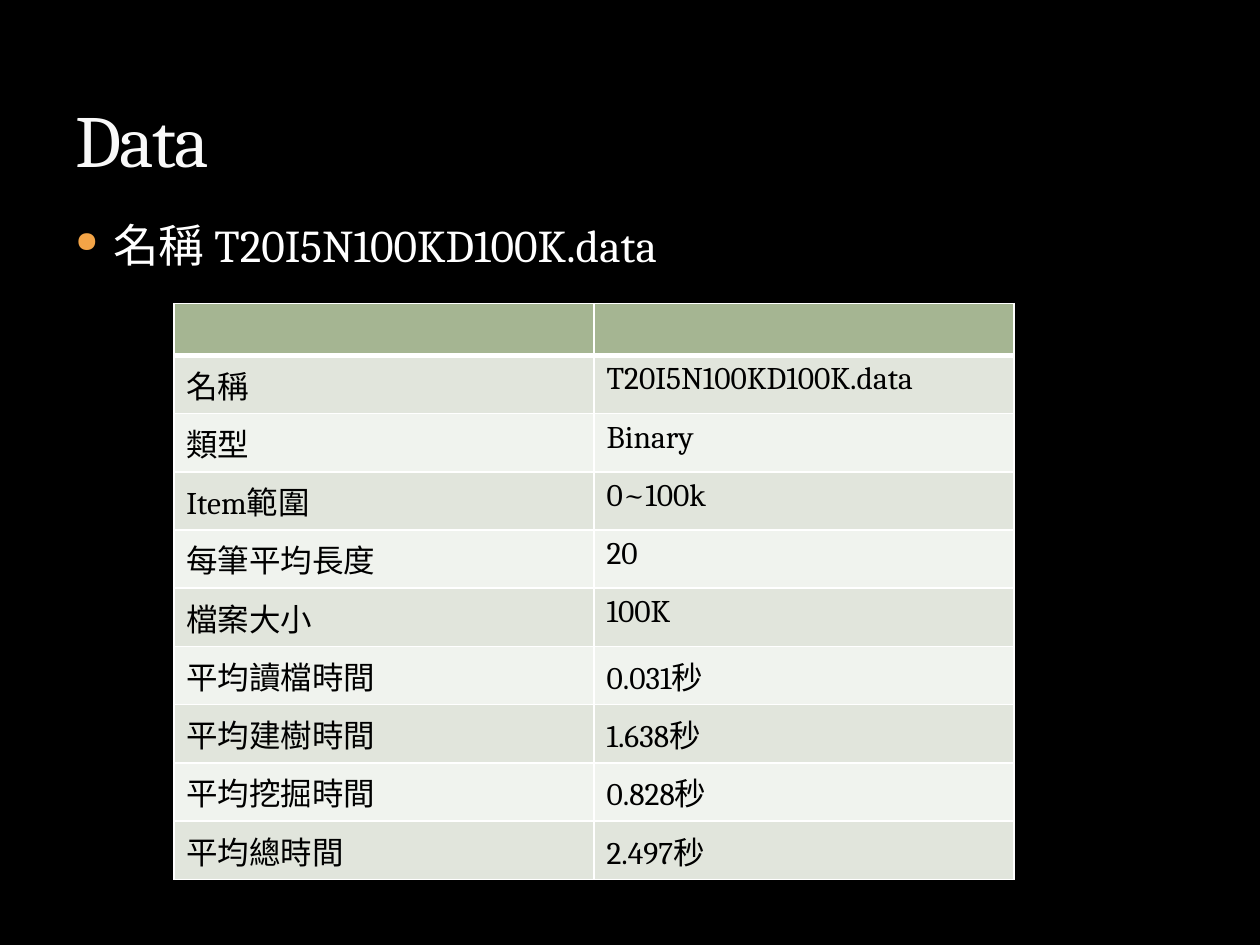
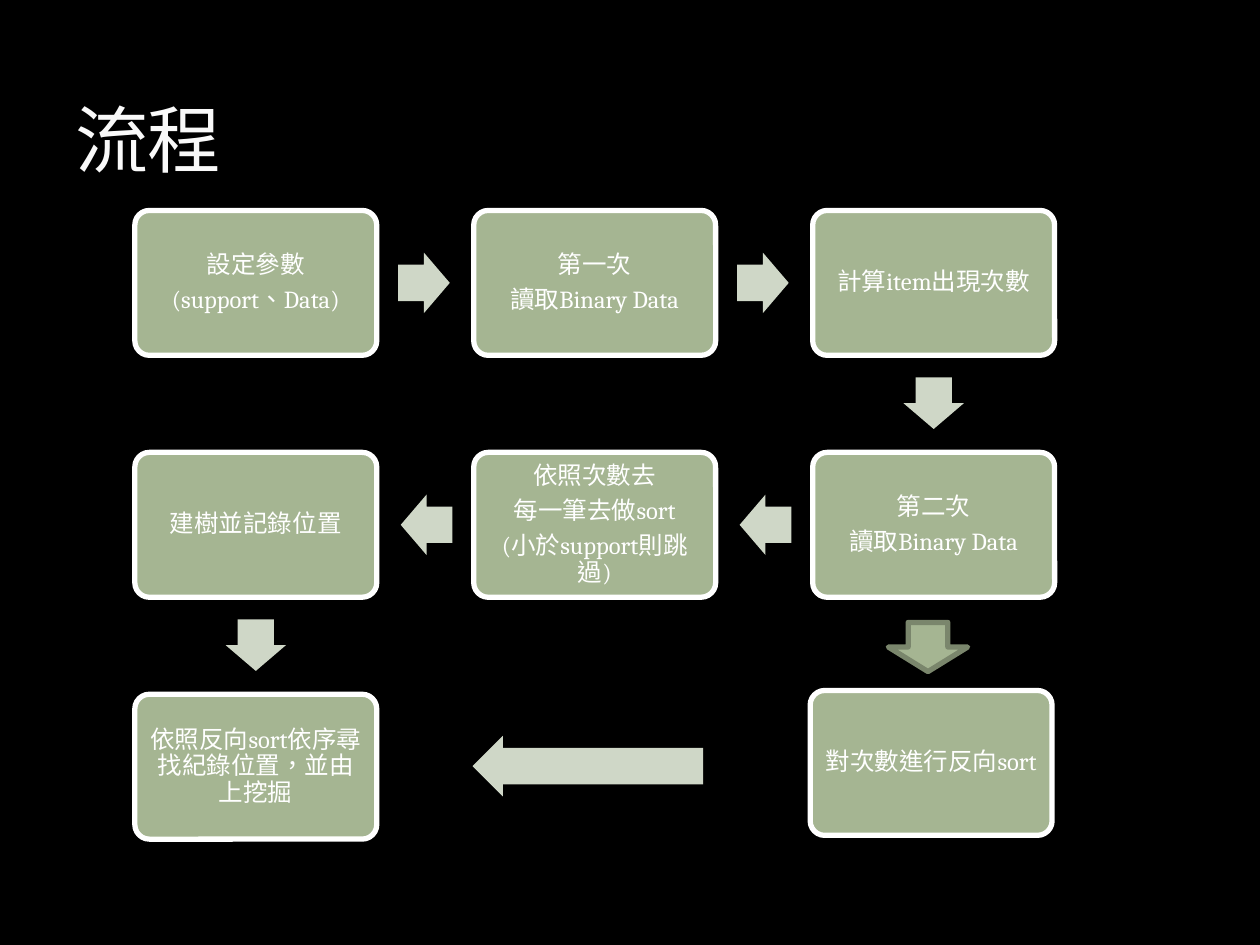
"""Build two dark slides: a data table and a process flow."""
from dataclasses import dataclass

from lxml.etree import SubElement
from pptx import Presentation
from pptx.dml.color import RGBColor
from pptx.enum.shapes import MSO_SHAPE as Preset
from pptx.enum.text import MSO_ANCHOR as Anchor, MSO_AUTO_SIZE as AutoSize, PP_ALIGN as Align
from pptx.oxml import parse_xml
from pptx.oxml.ns import nsdecls, qn
from pptx.util import Inches, Pt

FONT, LANGUAGE = "Cambria", "zh-TW"
BLACK, WHITE, TITLE_WHITE = "000000", "FFFFFF", "F9F9F9"
SAGE, SAGE_DARK, SAGE_LIGHT = "A5B592", "7A866C", "CFD7C7"
BANDS = ("E1E5DC", "F0F3EE")
BULLET, OUTLINE = "F3A447", "3C4422"

TABLE_HEIGHT, HEADER_HEIGHT = 4.57, 0.41
FLOW_LEFT, FLOW_TOP = 1.07, 1.67
COLUMN_STEP, ROW_STEP = 2.69, 1.92
BOX_WIDTH, BOX_HEIGHT = 1.92, 1.15
ARROW_LENGTH, ARROW_BREADTH = 0.41, 0.48
HEAD_INSET = (BOX_HEIGHT - ARROW_BREADTH) / 2

DATA_ROWS = [
    ("名稱", "T20I5N100KD100K.data"),
    ("類型", "Binary"),
    ("Item範圍", "0~100k"),
    ("每筆平均長度", "20"),
    ("檔案大小", "100K"),
    ("平均讀檔時間", "0.031秒"),
    ("平均建樹時間", "1.638秒"),
    ("平均挖掘時間", "0.828秒"),
    ("平均總時間", "2.497秒"),
]


@dataclass
class Step:
    """A flow box at a grid place, with an optional nudge."""
    column: int
    row: int
    text: str
    shift_x: float = 0
    shift_y: float = 0

    @property
    def left(self) -> float:
        """Return the left edge in inches."""
        return FLOW_LEFT + self.column * COLUMN_STEP + self.shift_x

    @property
    def top(self) -> float:
        """Return the top edge in inches."""
        return FLOW_TOP + self.row * ROW_STEP + self.shift_y


@dataclass
class Arrow:
    """A block arrow, placed before it is rotated."""
    left: float
    top: float
    rotation: int = 0
    width: float = ARROW_LENGTH
    height: float = ARROW_BREADTH
    preset: Preset = Preset.RIGHT_ARROW
    shares: tuple = (0.6, 0.5)
    fill: str = SAGE_LIGHT
    line: str = ""


STEPS = [
    Step(0, 0, "設定參數\n(support、Data)"),
    Step(1, 0, "第一次\n讀取Binary Data"),
    Step(2, 0, "計算item出現次數"),
    Step(2, 1, "第二次\n讀取Binary Data"),
    Step(1, 1, "依照次數去\n每一筆去做sort\n(小於support則跳過)"),
    Step(0, 1, "建樹並記錄位置"),
    Step(0, 2, "依照反向sort依序尋找紀錄位置，並由上挖掘"),
    Step(2, 2, "對次數進行反向sort", -0.02, -0.03),
]


def colour(value: str) -> RGBColor:
    """Turn a hex string into a colour."""
    return RGBColor.from_string(value)


def style_text(paragraph, size: float, value: str) -> None:
    """Format every run of a paragraph."""
    for span in paragraph.runs:
        span.font.name, span.font.size = FONT, Pt(size)
        span.font.color.rgb = colour(value)
        span.font._element.set("lang", LANGUAGE)


def add_page(deck, title: str):
    """Add a title-only slide with the shared title style."""
    page = deck.slides.add_slide(deck.slide_layouts[5])
    box = page.shapes.title
    box.left, box.top, box.width, box.height = map(Inches, (0.5, 0.17, 9, 1.33))
    frame = box.text_frame
    frame.text = title
    frame.vertical_anchor, frame.auto_size = Anchor.BOTTOM, AutoSize.NONE
    para = frame.paragraphs[0]
    para.alignment = Align.LEFT
    style_text(para, 42, TITLE_WHITE)
    properties = para.runs[0].font._element
    properties.set("spc", "-100")
    properties.insert(0, parse_xml(
        f'<a:ln {nsdecls("a")} w="3175"><a:solidFill><a:srgbClr val="{OUTLINE}">'
        '<a:alpha val="25000"/></a:srgbClr></a:solidFill></a:ln>'))
    return page


def add_bullet(page, text: str) -> None:
    """Add the bulleted line below the title."""
    box = page.shapes.add_textbox(*map(Inches, (0.5, 1.67, 9, 5)))
    frame = box.text_frame
    frame.word_wrap = True
    frame.text = text
    para = frame.paragraphs[0]
    para.space_before = Pt(6)
    style_text(para, 26, WHITE)
    properties = para._p.get_or_add_pPr()
    properties.set("marL", str(Inches(0.3)))
    properties.set("indent", str(Inches(-0.3)))
    tint = SubElement(properties, qn("a:buClr"))
    SubElement(tint, qn("a:srgbClr"), val=BULLET)
    SubElement(properties, qn("a:buSzPct"), val="64000")
    SubElement(properties, qn("a:buChar"), char="●")


def style_cell(cell, fill: str, bottom: float, top: float) -> None:
    """Give a cell white borders and a fill."""
    properties = cell._tc.get_or_add_tcPr()
    for side, width in (("L", 1), ("R", 1), ("T", top), ("B", bottom)):
        line = SubElement(properties, qn(f"a:ln{side}"), w=str(Pt(width)))
        SubElement(SubElement(line, qn("a:solidFill")), qn("a:srgbClr"), val=WHITE)
    cell.fill.solid()
    cell.fill.fore_color.rgb = colour(fill)


def add_data_table(page) -> None:
    """Add the banded table with its empty header row."""
    rows = [("", ""), *DATA_ROWS]
    place = map(Inches, (1.38, 2.41, 6.67, TABLE_HEIGHT))
    table = page.shapes.add_table(len(rows), 2, *place).table
    data_height = (TABLE_HEIGHT - HEADER_HEIGHT) / len(DATA_ROWS)
    for number, values in enumerate(rows):
        table.rows[number].height = Inches(data_height if number else HEADER_HEIGHT)
        fill = BANDS[(number - 1) % 2] if number else SAGE
        for cell, value in zip(table.rows[number].cells, values):
            cell.text = value
            style_text(cell.text_frame.paragraphs[0], 18, BLACK)
            style_cell(cell, fill, 1 if number else 3, 3 if number == 1 else 1)


def add_block(page, preset: Preset, place: tuple, fill: str, line: str = ""):
    """Add a flat shape with an optional three-point outline."""
    shape = page.shapes.add_shape(preset, *map(Inches, place))
    shape.shadow.inherit = False
    shape.fill.solid()
    shape.fill.fore_color.rgb = colour(fill)
    if line:
        shape.line.color.rgb, shape.line.width = colour(line), Pt(3)
    else:
        shape.line.fill.background()
    return shape


def add_step(page, step: Step) -> None:
    """Draw one flow box with its text."""
    place = (step.left, step.top, BOX_WIDTH, BOX_HEIGHT)
    box = add_block(page, Preset.ROUNDED_RECTANGLE, place, SAGE, WHITE)
    box.adjustments[0] = 0.1
    frame = box.text_frame
    frame.text = step.text
    frame.word_wrap, frame.vertical_anchor = True, Anchor.MIDDLE
    frame.margin_left = frame.margin_right = Inches(0.06)
    frame.margin_top = frame.margin_bottom = Inches(0.06)
    for para in frame.paragraphs:
        para.alignment, para.line_spacing = Align.CENTER, 0.9
        para.space_after = Pt(4.9)
        style_text(para, 14, WHITE)


def add_arrow(page, arrow: Arrow) -> None:
    """Draw one block arrow."""
    place = (arrow.left, arrow.top, arrow.width, arrow.height)
    shape = add_block(page, arrow.preset, place, arrow.fill, arrow.line)
    shape.rotation = arrow.rotation
    for number, share in enumerate(arrow.shares):
        shape.adjustments[number] = share


def arrow_between(start: Step, end: Step) -> Arrow:
    """Place an arrow in the gap between two neighbouring boxes."""
    if start.column == end.column:
        return Arrow(start.left + (BOX_WIDTH - ARROW_LENGTH) / 2, start.top + 1.29, 90)
    if start.column < end.column:
        return Arrow(start.left + 2.09, start.top + HEAD_INSET)
    return Arrow(end.left + 2.11, end.top + HEAD_INSET, 180)


def main() -> None:
    """Build and save the deck."""
    deck = Presentation()
    deck.slide_width, deck.slide_height = Inches(10), Inches(7.5)
    backdrop = deck.slide_master.background.fill
    backdrop.solid()
    backdrop.fore_color.rgb = colour(BLACK)

    data_page = add_page(deck, "Data")
    add_bullet(data_page, "名稱 T20I5N100KD100K.data")
    add_data_table(data_page)

    flow_page = add_page(deck, "流程")
    for step in STEPS:
        add_step(flow_page, step)
    main_path = STEPS[:-1]
    for start, end in zip(main_path, main_path[1:]):
        add_arrow(flow_page, arrow_between(start, end))
    add_arrow(flow_page, Arrow(3.75, 5.84, 180, width=1.83))
    add_arrow(flow_page, Arrow(7.05, 4.94, 180, 0.63, 0.39, Preset.UP_ARROW,
                               (0.5, 0.5), SAGE, SAGE_DARK))
    deck.save("out.pptx")


main()
